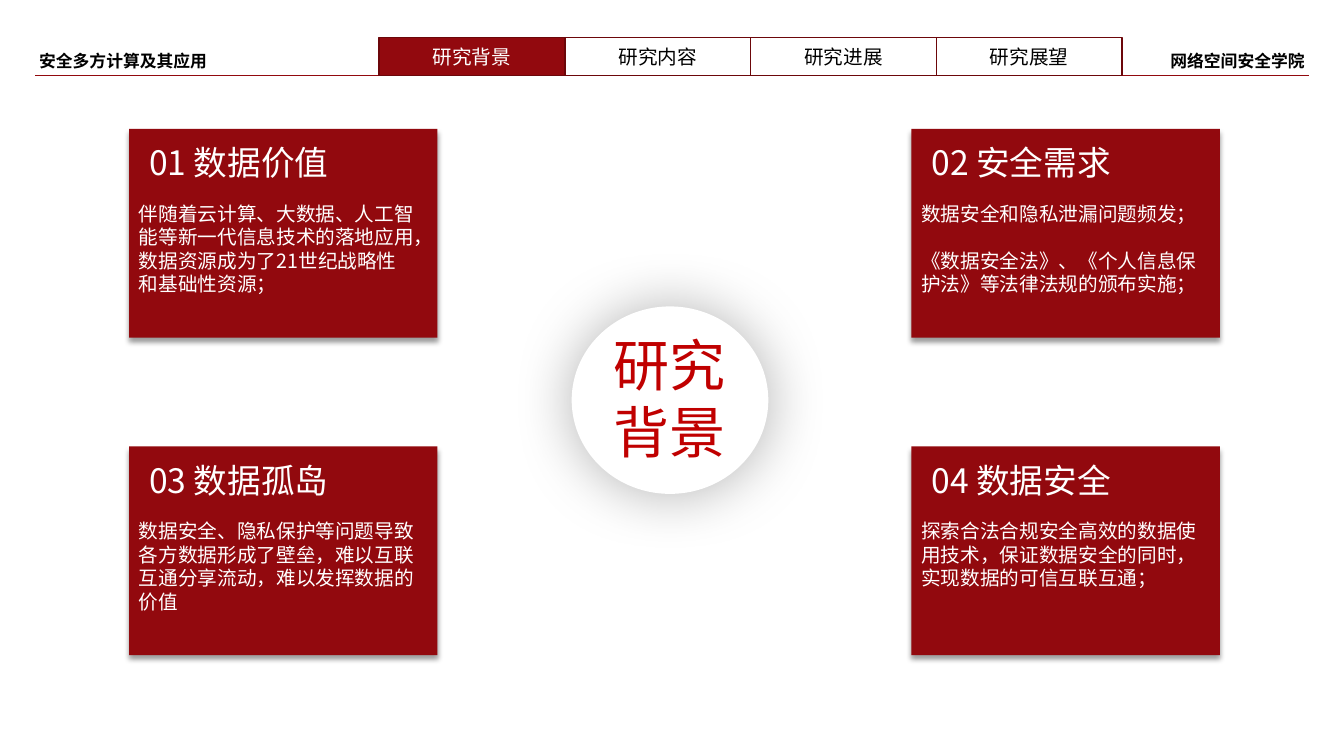
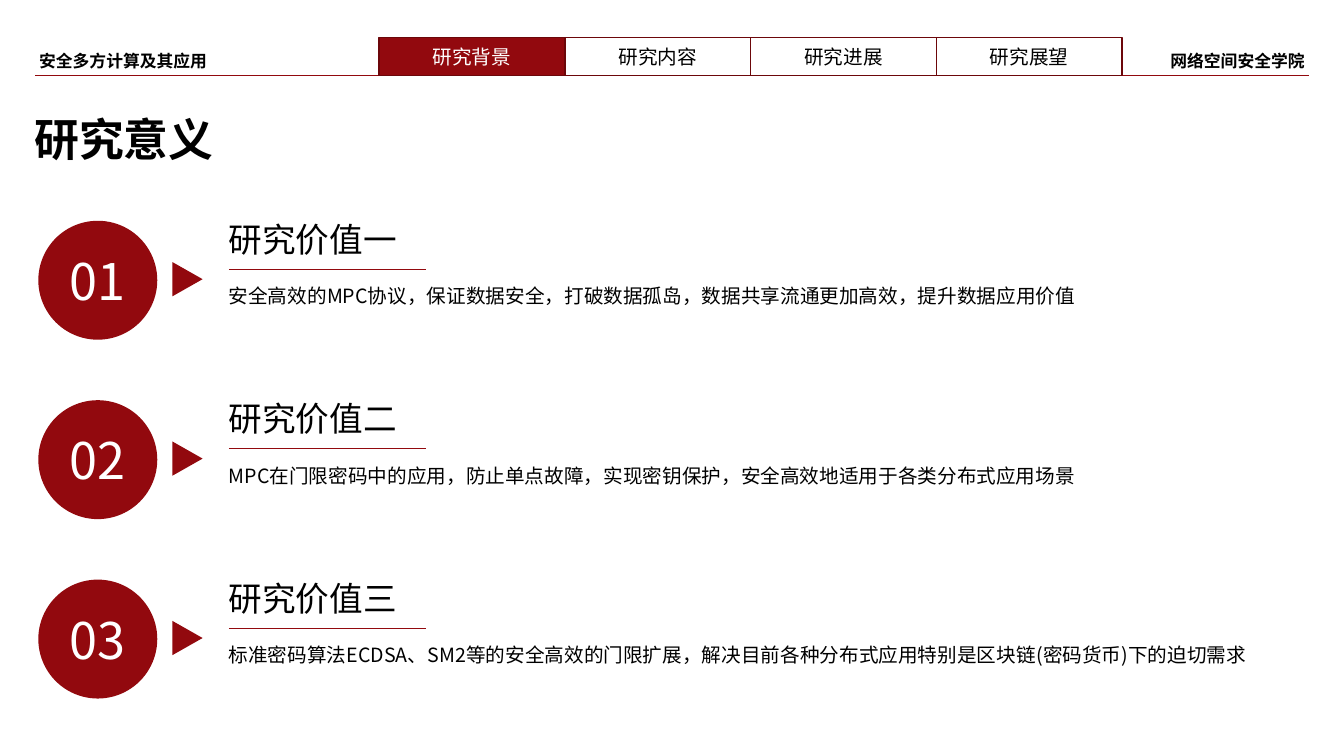
from dataclasses import dataclass

from lxml.etree import SubElement
from pptx import Presentation
from pptx.dml.color import RGBColor
from pptx.enum.lang import MSO_LANGUAGE_ID
from pptx.enum.shapes import MSO_CONNECTOR, MSO_SHAPE
from pptx.enum.text import MSO_ANCHOR, MSO_AUTO_SIZE, PP_ALIGN
from pptx.oxml.ns import qn
from pptx.util import Inches, Pt

FONT = "Noto Sans CJK SC"
COLORS = {
    "red": "92090E",
    "dark_red": "6C070A",
    "bright_red": "C00000",
    "white": "FFFFFF",
    "black": "000000",
}
LINE_HEIGHT = 1.2
TABS = ["研究背景", "研究内容", "研究进展", "研究展望"]


@dataclass
class Style:
    size: float
    color: str = "black"
    bold: bool = False
    align: PP_ALIGN = PP_ALIGN.LEFT
    anchor: MSO_ANCHOR = MSO_ANCHOR.TOP
    gap: float = 0


@dataclass
class Shadow:
    alpha: int
    blur: float
    dist: float = 0
    angle: int = 0


@dataclass
class Card:
    heading: str
    paragraphs: list[str]


@dataclass
class Value:
    heading: str
    detail: str


HEADER = Style(12, bold=True)
HEADER_RIGHT = Style(12, bold=True, align=PP_ALIGN.RIGHT)
TAB = Style(14, align=PP_ALIGN.CENTER, anchor=MSO_ANCHOR.MIDDLE)
TAB_ACTIVE = Style(14, "white", align=PP_ALIGN.CENTER, anchor=MSO_ANCHOR.MIDDLE)
TITLE = Style(32, bold=True)
HUB_TITLE = Style(40, "bright_red", align=PP_ALIGN.CENTER)
CARD_HEADING = Style(24, "white")
CARD_BODY = Style(14, "white", gap=14 * LINE_HEIGHT)
NUMBER = Style(36, "white", align=PP_ALIGN.CENTER, anchor=MSO_ANCHOR.MIDDLE)
VALUE_HEADING = Style(24)
VALUE_DETAIL = Style(14)

HUB_SHADOW = Shadow(30, 43)
CARD_SHADOW = Shadow(40, 4, 3, 90)

CARDS = [
    Card("01 数据价值", ["伴随着云计算、大数据、人工智能等新一代信息技术的落地应用，数据资源成为了21世纪战略性和基础性资源；"]),
    Card("02 安全需求", ["数据安全和隐私泄漏问题频发；", "《数据安全法》、《个人信息保护法》等法律法规的颁布实施；"]),
    Card("03 数据孤岛", ["数据安全、隐私保护等问题导致各方数据形成了壁垒，难以互联互通分享流动，难以发挥数据的价值"]),
    Card("04 数据安全", ["探索合法合规安全高效的数据使用技术，保证数据安全的同时，实现数据的可信互联互通；"]),
]
VALUES = [
    Value("研究价值一", "安全高效的MPC协议，保证数据安全，打破数据孤岛，数据共享流通更加高效，提升数据应用价值"),
    Value("研究价值二", "MPC在门限密码中的应用，防止单点故障，实现密钥保护，安全高效地适用于各类分布式应用场景"),
    Value("研究价值三", "标准密码算法ECDSA、SM2等的安全高效的门限扩展，解决目前各种分布式应用特别是区块链(密码货币)下的迫切需求"),
]


def rgb(name: str) -> RGBColor:
    return RGBColor.from_string(COLORS[name])


def write(shape, paragraphs: list[str], style: Style) -> None:
    tf = shape.text_frame
    frame_format = {
        "word_wrap": True,
        "auto_size": MSO_AUTO_SIZE.NONE,
        "vertical_anchor": style.anchor,
    }
    for name, value in frame_format.items():
        setattr(tf, name, value)
    paragraph_format = {
        "alignment": style.align,
        "line_spacing": Pt(style.size * LINE_HEIGHT),
        "space_after": Pt(0),
    }
    font_format = {
        "size": Pt(style.size),
        "bold": style.bold,
        "name": FONT,
        "language_id": MSO_LANGUAGE_ID.SIMPLIFIED_CHINESE,
    }
    for i, text in enumerate(paragraphs):
        p = tf.add_paragraph() if i else tf.paragraphs[0]
        p.space_before = Pt(style.gap if i else 0)
        for name, value in paragraph_format.items():
            setattr(p, name, value)
        r = p.add_run()
        r.text = text
        r.font.color.rgb = rgb(style.color)
        for name, value in font_format.items():
            setattr(r.font, name, value)
        SubElement(r.font._element, qn("a:ea"), typeface=FONT)


def add_text(s, box: tuple, paragraphs: list[str], style: Style) -> None:
    write(s.shapes.add_textbox(*map(Inches, box)), paragraphs, style)


def set_title(s, box: tuple, paragraphs: list[str], style: Style) -> None:
    title = s.shapes.title
    for name, value in zip(("left", "top", "width", "height"), box):
        setattr(title, name, Inches(value))
    write(title, paragraphs, style)
    # Bring the title in front of the shapes drawn so far
    title.element.getparent().append(title.element)


def paint(shape, fill: str | None, line: str | None = None) -> None:
    shape.shadow.inherit = False
    if fill:
        shape.fill.solid()
        shape.fill.fore_color.rgb = rgb(fill)
    else:
        shape.fill.background()
    if line:
        shape.line.color.rgb = rgb(line)
        shape.line.width = Pt(1)
    else:
        shape.line.fill.background()


def add_box(s, kind: MSO_SHAPE, box: tuple, fill: str | None, line: str | None = None):
    sp = s.shapes.add_shape(kind, *map(Inches, box))
    paint(sp, fill, line)
    return sp


def add_shadow(shape, shadow: Shadow) -> None:
    effects = shape.element.spPr.find(qn("a:effectLst"))
    outer = SubElement(
        effects, qn("a:outerShdw"), blurRad=str(Pt(shadow.blur)), dist=str(Pt(shadow.dist)),
        dir=str(shadow.angle * 60000), algn="ctr", rotWithShape="0",
    )
    color = SubElement(outer, qn("a:srgbClr"), val=COLORS["black"])
    SubElement(color, qn("a:alpha"), val=str(shadow.alpha * 1000))


def add_rule(s, x: float, y: float, width: float) -> None:
    """Draw a thin horizontal red line."""
    line = s.shapes.add_connector(
        MSO_CONNECTOR.STRAIGHT, Inches(x), Inches(y), Inches(x + width), Inches(y)
    )
    line.line.color.rgb = rgb("red")
    line.line.width = Pt(0.5)
    SubElement(line.element.spPr, qn("a:effectLst"))


def add_header(s, active: int) -> None:
    add_text(s, (0.29, 0.45, 3.4, 0.3), ["安全多方计算及其应用"], HEADER)
    add_text(s, (10.83, 0.45, 2.21, 0.3), ["网络空间安全学院"], HEADER_RIGHT)
    add_rule(s, 0.35, 0.75, 12.63)
    width = 7.37 / len(TABS)
    for i, label in enumerate(TABS):
        fill, style = ("red", TAB_ACTIVE) if i == active else (None, TAB)
        tab = add_box(s, MSO_SHAPE.RECTANGLE, (3.76 + i * width, 0.37, width, 0.38), fill, "dark_red")
        write(tab, [label], style)


def add_card(s, x: float, y: float, card: Card) -> None:
    panel = add_box(s, MSO_SHAPE.RECTANGLE, (x, y, 3.06, 2.07), "red")
    add_shadow(panel, CARD_SHADOW)
    add_text(s, (x + 0.1, y + 0.08, 2.95, 0.5), [card.heading], CARD_HEADING)
    add_text(s, (x, y + 0.67, 2.93, 1.28), card.paragraphs, CARD_BODY)


def add_triangle(s, x: float, y: float, width: float, height: float) -> None:
    """Draw a triangle that points right."""
    builder = s.shapes.build_freeform(Inches(x), Inches(y))
    builder.add_line_segments(
        [(Inches(x + width), Inches(y + height / 2)), (Inches(x), Inches(y + height))]
    )
    paint(builder.convert_to_shape(), "red")


def add_value(s, y: float, number: int, value: Value) -> None:
    circle = add_box(s, MSO_SHAPE.OVAL, (0.38, y + 0.07, 1.18, 1.18), "red")
    write(circle, [f"{number:02}"], NUMBER)
    add_triangle(s, 1.71, y + 0.48, 0.3, 0.34)
    add_text(s, (2.17, y, 4.15, 0.5), [value.heading], VALUE_HEADING)
    add_rule(s, 2.27, y + 0.55, 1.96)
    add_text(s, (2.17, y + 0.65, 10.9, 0.34), [value.detail], VALUE_DETAIL)


def add_slide(prs):
    s = prs.slides.add_slide(prs.slide_layouts[5])
    add_header(s, active=0)
    return s


def build_background(prs) -> None:
    s = add_slide(prs)
    hub = add_box(s, MSO_SHAPE.OVAL, (5.67, 3.04, 1.95, 1.86), "white")
    add_shadow(hub, HUB_SHADOW)
    set_title(s, (5.4, 3.23, 2.48, 1.45), ["研究", "背景"], HUB_TITLE)
    for i, card in enumerate(CARDS):
        row, column = divmod(i, 2)
        add_card(s, 1.28 + column * 7.76, 1.28 + row * 3.15, card)


def build_significance(prs) -> None:
    s = add_slide(prs)
    set_title(s, (0.24, 1.06, 5.1, 0.64), ["研究意义"], TITLE)
    for i, value in enumerate(VALUES):
        add_value(s, 2.12 + i * 1.78, i + 1, value)


def main() -> None:
    prs = Presentation()
    prs.slide_width = Inches(13.33)
    prs.slide_height = Inches(7.5)
    build_background(prs)
    build_significance(prs)
    prs.save("out.pptx")


if __name__ == "__main__":
    main()
